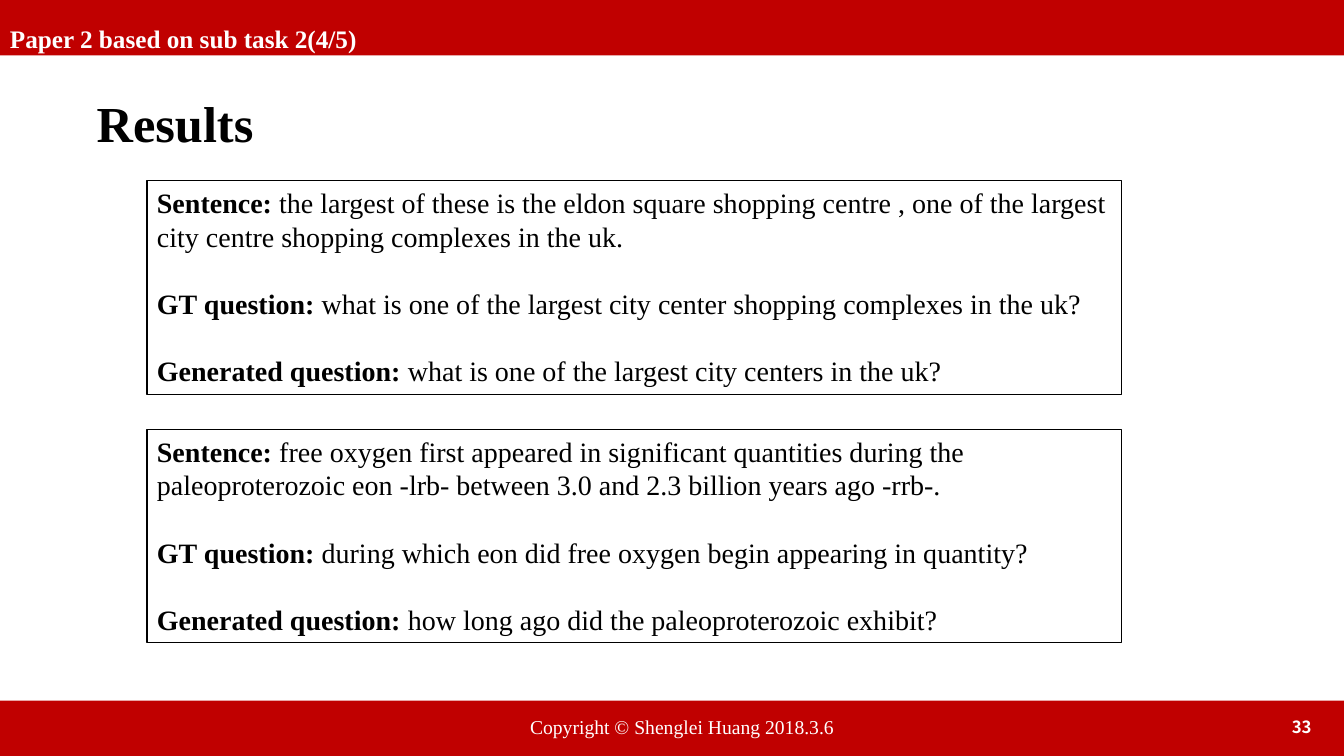
from dataclasses import dataclass

import pptx
import pptx.dml.color
import pptx.enum.shapes
import pptx.enum.text
import pptx.util

Pt = pptx.util.Pt
RGB = pptx.dml.color.RGBColor
PP_ALIGN = pptx.enum.text.PP_ALIGN
MSO_ANCHOR = pptx.enum.text.MSO_ANCHOR


@dataclass(frozen=True)
class Theme:
    red: RGB = RGB(0xC0, 0x00, 0x00)
    white: RGB = RGB(0xFF, 0xFF, 0xFF)
    black: RGB = RGB(0x00, 0x00, 0x00)
    serif: str = "Times New Roman"
    sans: str = "Noto Sans CJK SC"
    title: int = 36
    body: int = 20
    header: int = 18
    footer: int = 14
    number: int = 12


THEME = Theme()
WIDTH, HEIGHT = 960, 540
BAR_HEIGHT = 39.6
EXAMPLE_LEFT, EXAMPLE_WIDTH, EXAMPLE_HEIGHT = 105, 696, 152.6
EXAMPLE_TOP, EXAMPLE_PITCH = 129.2, 177.4

EXAMPLES = [
    [
        ("Sentence: ", "the largest of these is the eldon square shopping centre , "
                       "one of the largest city centre shopping complexes in the uk."),
        ("GT question: ", "what is one of the largest city center shopping complexes in the uk?"),
        ("Generated question: ", "what is one of the largest city centers in the uk?"),
    ],
    [
        ("Sentence: ", "free oxygen first appeared in significant quantities during the "
                       "paleoproterozoic eon -lrb- between 3.0 and 2.3 billion years ago -rrb-."),
        ("GT question: ", "during which eon did free oxygen begin appearing in quantity?"),
        ("Generated question: ", "how long ago did the paleoproterozoic exhibit?"),
    ],
]


def add_run(p, text, size, color, bold=False, font=THEME.serif):
    r = p.add_run()
    r.text = text
    r.font.name = font
    r.font.size = Pt(size)
    r.font.bold = bold
    r.font.color.rgb = color


def add_rect(s, left, top, width, height):
    sp = s.shapes.add_shape(pptx.enum.shapes.MSO_SHAPE.RECTANGLE,
                            Pt(left), Pt(top), Pt(width), Pt(height))
    sp.shadow.inherit = False
    return sp


def add_bar(s, top):
    sp = add_rect(s, 0, top, WIDTH, BAR_HEIGHT)
    sp.fill.solid()
    sp.fill.fore_color.rgb = THEME.red
    sp.line.fill.background()


def add_label(s, left, top, width, height, text, size, color, bold=False,
              font=THEME.serif, wrap=False):
    """Add a one-line text box and return its text frame."""
    tf = s.shapes.add_textbox(Pt(left), Pt(top), Pt(width), Pt(height)).text_frame
    tf.word_wrap = wrap
    add_run(tf.paragraphs[0], text, size, color, bold, font)
    return tf


def add_example(s, top, entries):
    """Add an outlined box of bold labels, each followed by its sentence."""
    sp = add_rect(s, EXAMPLE_LEFT, top, EXAMPLE_WIDTH, EXAMPLE_HEIGHT)
    sp.fill.background()
    sp.line.color.rgb = THEME.black
    sp.line.width = Pt(0.75)
    tf = sp.text_frame
    tf.word_wrap = True
    tf.vertical_anchor = MSO_ANCHOR.TOP
    for i, (label, sentence) in enumerate(entries):
        p = tf.add_paragraph() if i else tf.paragraphs[0]
        p.alignment = PP_ALIGN.LEFT
        if i:
            p.space_before = Pt(24)
        add_run(p, label, THEME.body, THEME.black, bold=True)
        add_run(p, sentence, THEME.body, THEME.black)


def main():
    prs = pptx.Presentation()
    prs.slide_width, prs.slide_height = Pt(WIDTH), Pt(HEIGHT)
    s = prs.slides.add_slide(prs.slide_layouts[6])

    add_bar(s, HEIGHT - BAR_HEIGHT)
    add_label(s, 371.5, 507, 237, 24.5, "Copyright © Shenglei Huang 2018.3.6",
              THEME.footer, THEME.white).paragraphs[0].alignment = PP_ALIGN.LEFT

    add_bar(s, 0)
    header = add_label(s, 0, 2.2, 265, 40.3, "Paper 2 based on sub task 2(4/5)",
                       THEME.header, THEME.white, bold=True)
    header.paragraphs[0].line_spacing = 1.5

    add_label(s, 62, 62.6, 127.4, 51, "Results", THEME.title, THEME.black, bold=True)
    for i, entries in enumerate(EXAMPLES):
        add_example(s, EXAMPLE_TOP + i * EXAMPLE_PITCH, entries)

    number = add_label(s, 728, 504.7, 216, 28.8, "33", THEME.number, THEME.white,
                       bold=True, font=THEME.sans, wrap=True)
    number.vertical_anchor = MSO_ANCHOR.MIDDLE
    number.paragraphs[0].alignment = PP_ALIGN.RIGHT

    prs.save("out.pptx")


if __name__ == "__main__":
    main()
